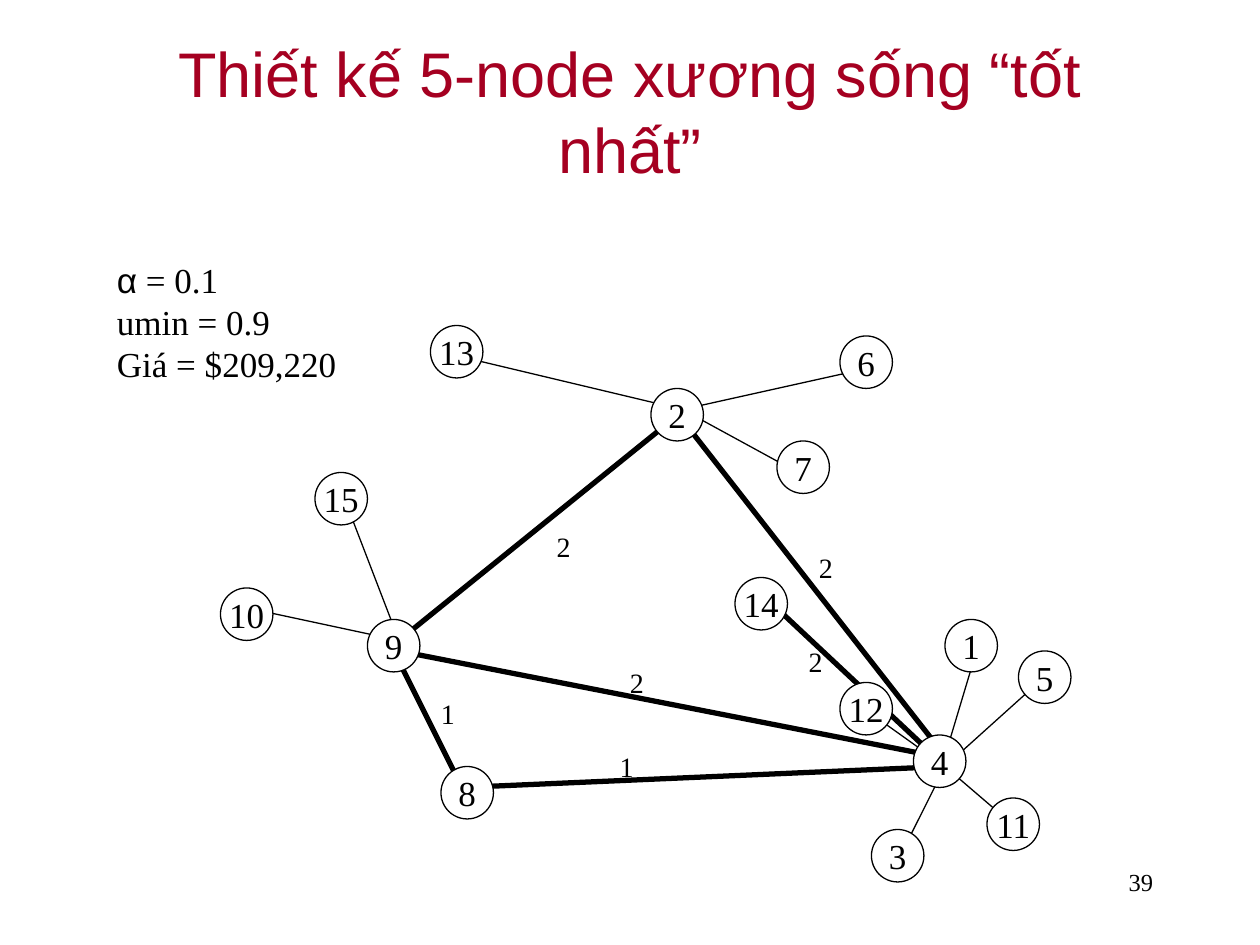
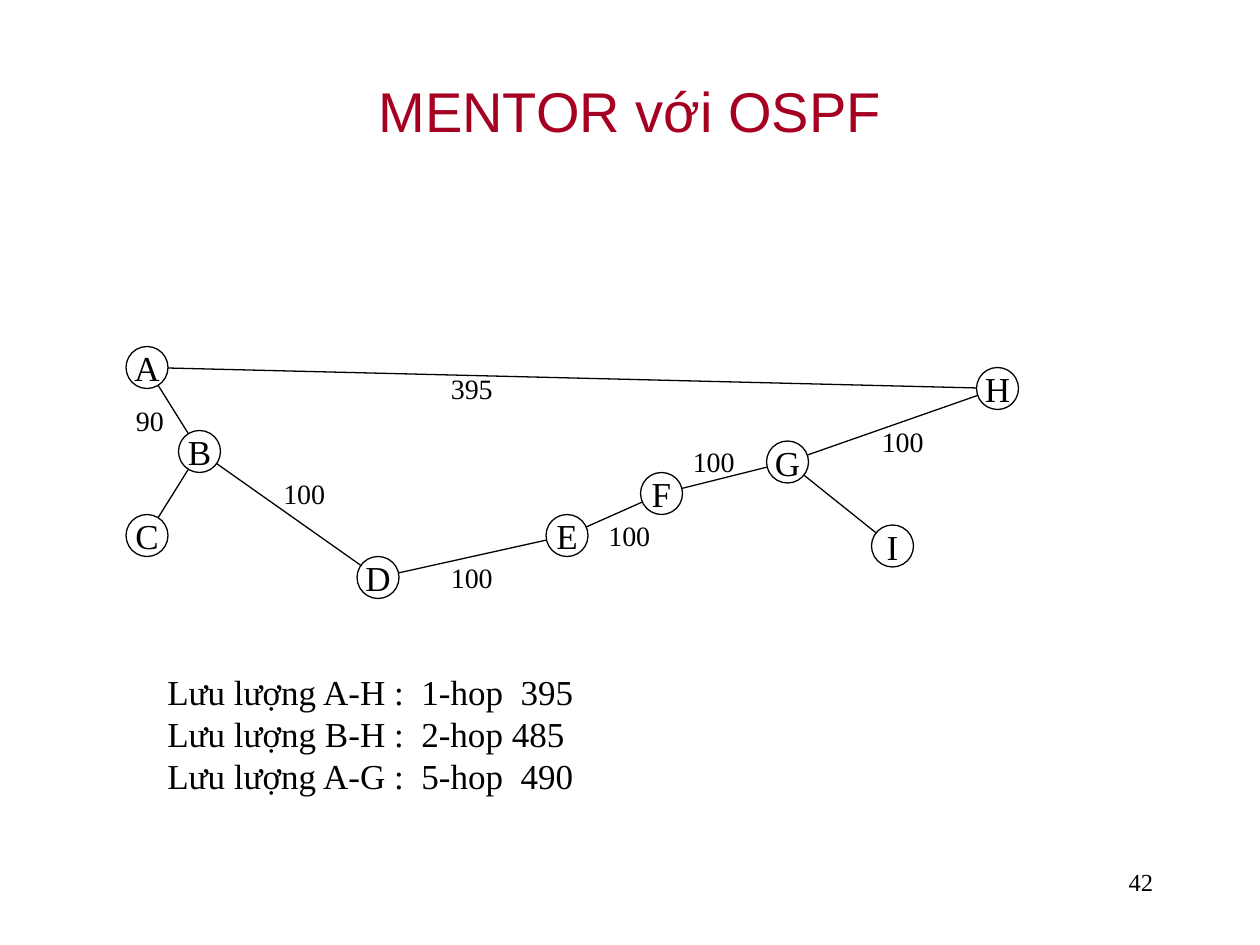
from dataclasses import dataclass

from lxml.etree import SubElement
from pptx import Presentation
from pptx.dml.color import RGBColor
from pptx.enum.shapes import MSO_CONNECTOR, MSO_SHAPE
from pptx.enum.text import MSO_ANCHOR, MSO_AUTO_SIZE, PP_ALIGN
from pptx.oxml.ns import qn
from pptx.util import Inches, Pt


@dataclass(frozen=True)
class Theme:
    title_color: RGBColor = RGBColor(0xA5, 0x00, 0x21)
    ink: RGBColor = RGBColor(0x00, 0x00, 0x00)
    paper: RGBColor = RGBColor(0xFF, 0xFF, 0xFF)
    title_font: str = "Arial"
    body_font: str = "Times New Roman"
    body_size: int = 20
    label_size: int = 16
    number_size: int = 14
    thin: float = 0.75
    thick: float = 3


GRID = 12  # drawing grid steps per inch

# Where a link ends, in grid steps from the centre of its node
PORTS = {
    "c": (0, 0),
    "nw": (-0.5, -0.5),
    "ne": (0.5, -0.5),
    "sw": (-0.5, 0.5),
    "se": (0.5, 0.5),
    "ssw": (-0.5, 1.5),
}


def write(shape, paragraphs, *, size, font, color, align=PP_ALIGN.LEFT,
          anchor=MSO_ANCHOR.TOP, wrap=True, grow=False):
    """Fill a shape with paragraphs, each a string or a list of (text, font) runs."""
    frame = shape.text_frame
    frame.word_wrap = wrap
    frame.auto_size = MSO_AUTO_SIZE.SHAPE_TO_FIT_TEXT if grow else MSO_AUTO_SIZE.NONE
    frame.vertical_anchor = anchor
    for index, content in enumerate(paragraphs):
        paragraph = frame.paragraphs[0] if index == 0 else frame.add_paragraph()
        paragraph.alignment = align
        runs = [(content, font)] if isinstance(content, str) else content
        for words, run_font in runs:
            run = paragraph.add_run()
            run.text = words
            run.font.name = run_font
            run.font.size = Pt(size)
            run.font.color.rgb = color


class Deck:
    def __init__(self, theme):
        self.theme = theme
        self.presentation = Presentation()
        self.presentation.slide_width = Inches(10)
        self.presentation.slide_height = Inches(7.5)
        self.slide = None

    def new_slide(self, title, title_size, number):
        theme = self.theme
        self.slide = self.presentation.slides.add_slide(
            self.presentation.slide_layouts[6])
        self.text((7.17, 6.83, 2.08, 0.5), [str(number)],
                  size=theme.number_size, align=PP_ALIGN.RIGHT)
        self.text((0.75, 0.25, 8.5, 1.25), [title], size=title_size,
                  font=theme.title_font, color=theme.title_color,
                  align=PP_ALIGN.CENTER, anchor=MSO_ANCHOR.MIDDLE)

    def text(self, box, paragraphs, **style):
        style = {"size": self.theme.body_size, "font": self.theme.body_font,
                 "color": self.theme.ink} | style
        holder = self.slide.shapes.add_textbox(*map(Inches, box))
        write(holder, paragraphs, **style)

    def note(self, left, top, width, lines):
        self.text((left, top, width, 1.1), lines, wrap=False, grow=True)

    def label(self, left, top, words):
        self.text((left, top, 0.2 + 0.11 * len(words), 0.37), [words],
                  size=self.theme.label_size, wrap=False, grow=True)

    def link(self, start, end, weight):
        line = self.slide.shapes.add_connector(
            MSO_CONNECTOR.STRAIGHT, *map(Inches, start + end))
        line.line.color.rgb = self.theme.ink
        line.line.width = Pt(weight)
        SubElement(line.element.spPr, qn("a:effectLst"))

    def node(self, name, left, top, size):
        theme = self.theme
        circle = self.slide.shapes.add_shape(
            MSO_SHAPE.OVAL, *map(Inches, (left, top, size, size)))
        circle.shadow.inherit = False
        circle.fill.solid()
        circle.fill.fore_color.rgb = theme.paper
        circle.line.color.rgb = theme.ink
        circle.line.width = Pt(theme.thin)
        write(circle, [name], size=theme.body_size, font=theme.body_font,
              color=theme.ink, align=PP_ALIGN.CENTER,
              anchor=MSO_ANCHOR.MIDDLE, wrap=False)

    def network(self, nodes, links, labels, node_steps):
        """Draw links under nodes; nodes map a name to its left and top grid steps."""
        def end_point(name, port):
            return tuple((corner + node_steps / 2 + shift) / GRID
                         for corner, shift in zip(nodes[name], PORTS[port]))

        for start, start_port, end, end_port, weight in links:
            self.link(end_point(start, start_port), end_point(end, end_port), weight)
        for name, (column, row) in nodes.items():
            self.node(name, column / GRID, row / GRID, node_steps / GRID)
        for label in labels:
            self.label(*label)


def backbone_slide(deck):
    thin, thick = deck.theme.thin, deck.theme.thick
    deck.new_slide("Thiết kế 5-node xương sống “tốt nhất”", 36, 39)
    nodes = {
        "15": (30, 45), "10": (21, 56), "9": (35, 59), "8": (42, 73),
        "3": (83, 79), "11": (94, 76), "4": (87, 70), "12": (80, 65),
        "5": (97, 62), "1": (90, 59), "13": (41, 31), "14": (70, 55),
        "2": (62, 37), "7": (74, 42), "6": (80, 32),
    }
    links = [
        ("4", "nw", "9", "se", thick),
        ("4", "ne", "2", "se", thick),
        ("13", "se", "2", "ne", thin),
        ("2", "ne", "6", "se", thin),
        ("2", "ne", "7", "sw", thin),
        ("4", "nw", "14", "ne", thick),
        ("12", "se", "4", "se", thin),
        ("1", "se", "4", "ne", thin),
        ("5", "ne", "4", "se", thin),
        ("11", "se", "4", "se", thin),
        ("3", "ssw", "4", "se", thin),
        ("4", "se", "8", "nw", thick),
        ("8", "nw", "9", "nw", thick),
        ("9", "ne", "2", "sw", thick),
        ("15", "se", "9", "ne", thin),
        ("9", "ne", "10", "ne", thin),
    ]
    labels = [(4.32, 4.15, "2"), (6.4, 4.32, "2"), (6.32, 5.07, "2"),
              (4.9, 5.23, "2"), (4.82, 5.9, "1"), (3.4, 5.48, "1")]
    deck.network(nodes, links, labels, node_steps=5)
    alpha = [("α", deck.theme.title_font), (" = 0.1", deck.theme.body_font)]
    deck.note(0.83, 2, 1.94, [alpha, "umin = 0.9", "Giá = $209,220"])


def ospf_slide(deck):
    deck.new_slide("MENTOR với OSPF", 32, 42)
    nodes = {
        "C": (12, 49), "A": (12, 33), "B": (17, 41), "D": (34, 53), "E": (52, 49),
        "F": (61, 45), "H": (93, 35), "I": (83, 50), "G": (73, 42),
    }
    pairs = ["AB", "BC", "AH", "FE", "ED", "DB", "FG", "GH", "GI"]
    links = [(start, "c", end, "c", deck.theme.thin) for start, end in pairs]
    labels = [(0.98, 3.15, "90"), (2.15, 3.73, "100"), (3.48, 4.4, "100"),
              (4.73, 4.07, "100"), (5.4, 3.48, "100"), (6.9, 3.32, "100"),
              (3.48, 2.9, "395")]
    deck.network(nodes, links, labels, node_steps=4)
    deck.note(1.23, 5.27, 3.44, ["Lưu lượng A-H :  1-hop  395",
                                 "Lưu lượng B-H :  2-hop 485",
                                 "Lưu lượng A-G :  5-hop  490"])


def main():
    deck = Deck(Theme())
    backbone_slide(deck)
    ospf_slide(deck)
    deck.presentation.save("out.pptx")


if __name__ == "__main__":
    main()
